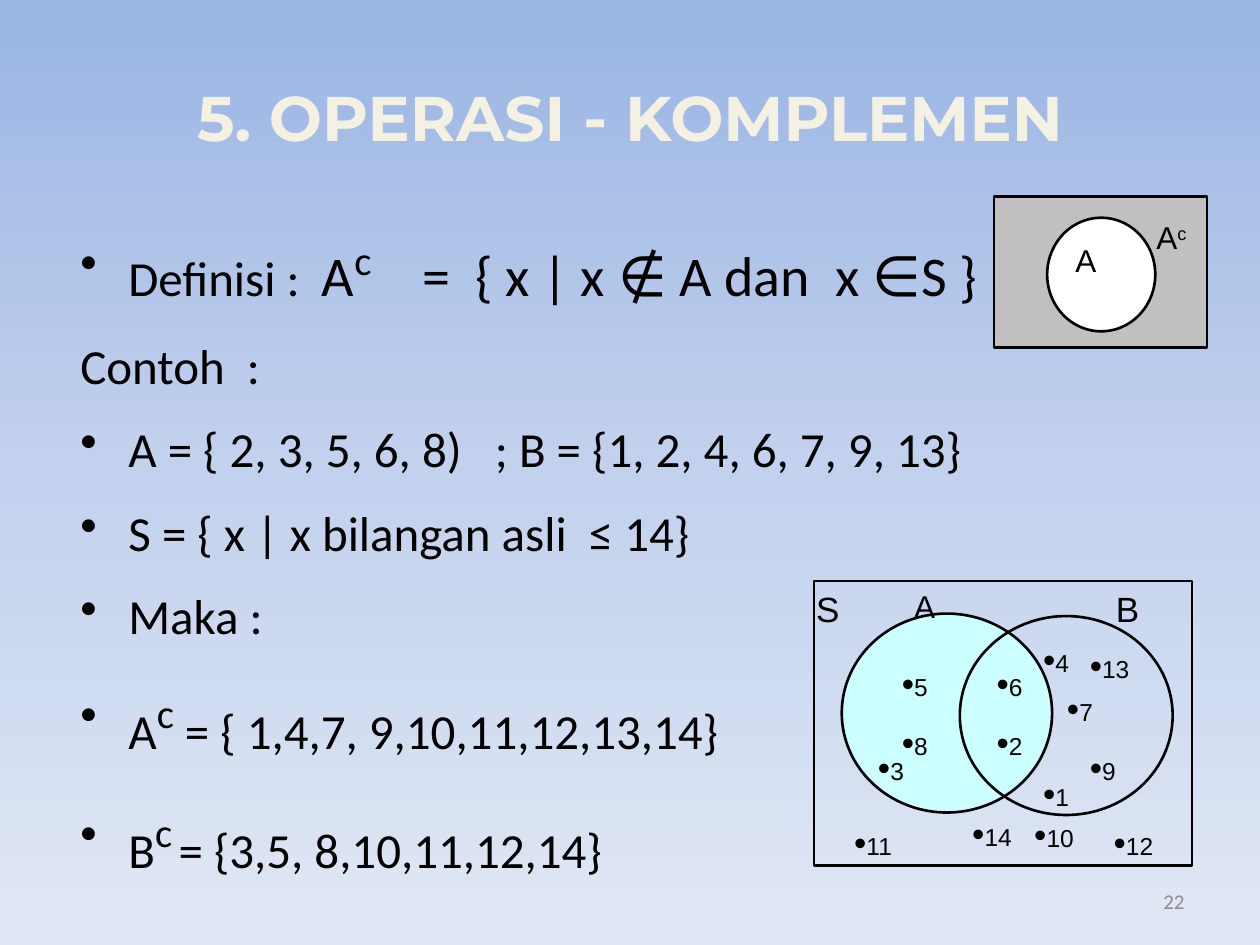
import copy

import pptx
import pptx.dml.color
import pptx.enum.shapes
import pptx.enum.text
import pptx.oxml
import pptx.oxml.ns
import pptx.util

Cm = pptx.util.Cm
Pt = pptx.util.Pt
RGB = pptx.dml.color.RGBColor
KIND = pptx.enum.shapes.MSO_SHAPE
ALIGN = pptx.enum.text.PP_ALIGN
ANCHOR = pptx.enum.text.MSO_ANCHOR
qn = pptx.oxml.ns.qn

BLACK = RGB(0x00, 0x00, 0x00)
WHITE = RGB(0xFF, 0xFF, 0xFF)
CREAM = RGB(0xF4, 0xF1, 0xE3)
GRAY = RGB(0x8C, 0x8C, 0x8C)
SILVER = RGB(0xC0, 0xC0, 0xC0)
CYAN = RGB(0xCC, 0xFF, 0xFF)
SKY = [RGB(0x9A, 0xB5, 0xE4), RGB(0xC2, 0xD1, 0xED), RGB(0xE1, 0xE8, 0xF5)]

POWER = ("c", 40, 30)
LINES = [
    (True, [("Definisi :  ",), ("A", 32), POWER,
            ("    =  { x | x ∉ A dan  x ∈S }", 32)]),
    (False, [("Contoh  :   ",)]),
    (True, [("A = { 2, 3, 5, 6, 8)   ; B = {1, 2, 4, 6, 7, 9, 13}",)]),
    (True, [("S = { x | x bilangan asli  ≤ 14} ",)]),
    (True, [("Maka :  ",)]),
    (True, [("A",), POWER, (" = { 1,4,7, 9,10,11,12,13,14}  ",)]),
    (True, [("B",), POWER, (" ", None, 30), ("= {3,5, 8,10,11,12,14}",)]),
]
DOTS = {
    2: (19.84, 14.4), 6: (19.84, 13.21), 13: (21.72, 12.85),
    7: (21.26, 13.72), 5: (17.93, 13.21), 4: (20.78, 12.73),
    3: (17.45, 14.91), 9: (21.72, 14.91), 8: (17.93, 14.4),
    11: (16.97, 16.41), 14: (19.35, 16.23), 12: (22.2, 16.41),
    1: (20.78, 15.42), 10: (20.6, 16.26),
}
NAMES = [("S", 15.98, 20), ("A", 17.93, 18), ("B", 22.02, 20)]


def style(para, face, size, color=BLACK, align=ALIGN.LEFT):
    """Set the font and alignment of a paragraph."""
    para.alignment = align
    para.font.name = face
    para.font.size = Pt(size)
    para.font.color.rgb = color


def write(para, parts):
    """Add runs given as text, optional size and optional raise in percent."""
    for text, *rest in parts:
        size, lift = (rest + [None, None])[:2]
        run = para.add_run()
        run.text = text
        if size:
            run.font.size = Pt(size)
        if lift:
            run._r.get_or_add_rPr().set("baseline", str(lift * 1000))


def label(shapes, box, parts, size, face="Arial", color=BLACK, align=ALIGN.LEFT):
    """Add a text box with one paragraph."""
    item = shapes.add_textbox(*map(Cm, box))
    item.text_frame.word_wrap = True
    para = item.text_frame.paragraphs[0]
    style(para, face, size, color, align)
    write(para, parts)
    return item


def outline(shapes, kind, box, fill=None):
    """Add a black-lined shape, hollow unless a fill is given."""
    item = shapes.add_shape(kind, *map(Cm, box))
    item.shadow.inherit = False
    if fill is None:
        item.fill.background()
    else:
        item.fill.solid()
        item.fill.fore_color.rgb = fill
    item.line.color.rgb = BLACK
    item.line.width = Pt(1.5)
    return item


def paint(slide):
    """Give the slide its vertical three-stop gradient."""
    fill = slide.background.fill
    fill.gradient()
    fill.gradient_angle = 270
    stops = slide.element.find(".//" + qn("a:gsLst"))
    stops.insert(1, copy.deepcopy(stops[0]))
    for stop, color, place in zip(fill.gradient_stops, SKY, (0, 0.5, 1)):
        stop.color.rgb = color
        stop.position = place


def head(slide):
    """Place and format the title."""
    title = slide.shapes.title
    title.left, title.top, title.width, title.height = map(
        Cm, (1.27, 0.76, 22.86, 3.18))
    title.text_frame.text = "5. OPERASI - KOMPLEMEN"
    title.text_frame.vertical_anchor = ANCHOR.MIDDLE
    para = title.text_frame.paragraphs[0]
    style(para, "Montserrat", 36, CREAM, ALIGN.CENTER)
    para.font.bold = True


def space(para, dot):
    """Set the indent, half-line spacing and bullet of a paragraph."""
    props = para._p.get_or_add_pPr()
    props.set("marL", str(Cm(1.07)))
    props.set("indent", str(Cm(-0.97)))
    gap = pptx.oxml.parse_xml(
        f'<a:spcBef {pptx.oxml.ns.nsdecls("a")}><a:spcPct val="50000"/></a:spcBef>')
    props.append(gap)
    if dot:
        props.append(pptx.oxml.parse_xml(
            f'<a:buChar {pptx.oxml.ns.nsdecls("a")} char="•"/>'))


def body(slide):
    """Add the definition and the worked example."""
    frame = slide.shapes.add_textbox(*map(Cm, (1.27, 4.45, 22.86, 13.41))).text_frame
    frame.word_wrap = True
    for row, (dot, parts) in enumerate(LINES):
        para = frame.add_paragraph() if row else frame.paragraphs[0]
        space(para, dot)
        style(para, "Calibri", 28, align=ALIGN.JUSTIFY)
        write(para, parts)


def small(slide):
    """Draw the set A and its shaded complement."""
    shapes = slide.shapes.add_group_shape().shapes
    outline(shapes, KIND.RECTANGLE, (20.04, 3.96, 4.29, 3.05), SILVER)
    disc = outline(shapes, KIND.OVAL, (21.11, 4.39, 2.18, 2.29), WHITE)
    disc.text_frame.vertical_anchor = ANCHOR.TOP
    para = disc.text_frame.paragraphs[0]
    style(para, "Arial", 18)
    write(para, [("A",)])
    label(shapes, (23.06, 4.27, 1.65, 1.07), [("A",), ("c", None, 30)], 18)


def venn(slide):
    """Draw the diagram of A and B within S."""
    shapes = slide.shapes.add_group_shape().shapes
    outline(shapes, KIND.RECTANGLE, (16.41, 11.71, 7.62, 5.74))
    outline(shapes, KIND.OVAL, (16.97, 12.37, 4.24, 4.01), CYAN)
    for num, (left, top) in DOTS.items():
        label(shapes, (left, top, 1.42, 1.02), [("•", 20), (str(num),)], 14)
    for name, left, size in NAMES:
        label(shapes, (left, 11.71, 1.42, 1.5), [(name,)], size, align=ALIGN.CENTER)
    outline(shapes, KIND.OVAL, (19.35, 12.42, 4.29, 4.01))


def main():
    """Build and save the slide."""
    deck = pptx.Presentation()
    deck.slide_width, deck.slide_height = Cm(25.4), Cm(19.05)
    slide = deck.slides.add_slide(deck.slide_layouts[5])
    paint(slide)
    head(slide)
    body(slide)
    page = label(slide.shapes, (18.21, 17.65, 5.92, 1.02), [("22",)], 12,
                 "Calibri", GRAY, ALIGN.RIGHT)
    page.text_frame.vertical_anchor = ANCHOR.MIDDLE
    small(slide)
    venn(slide)
    deck.save("out.pptx")


if __name__ == "__main__":
    main()
